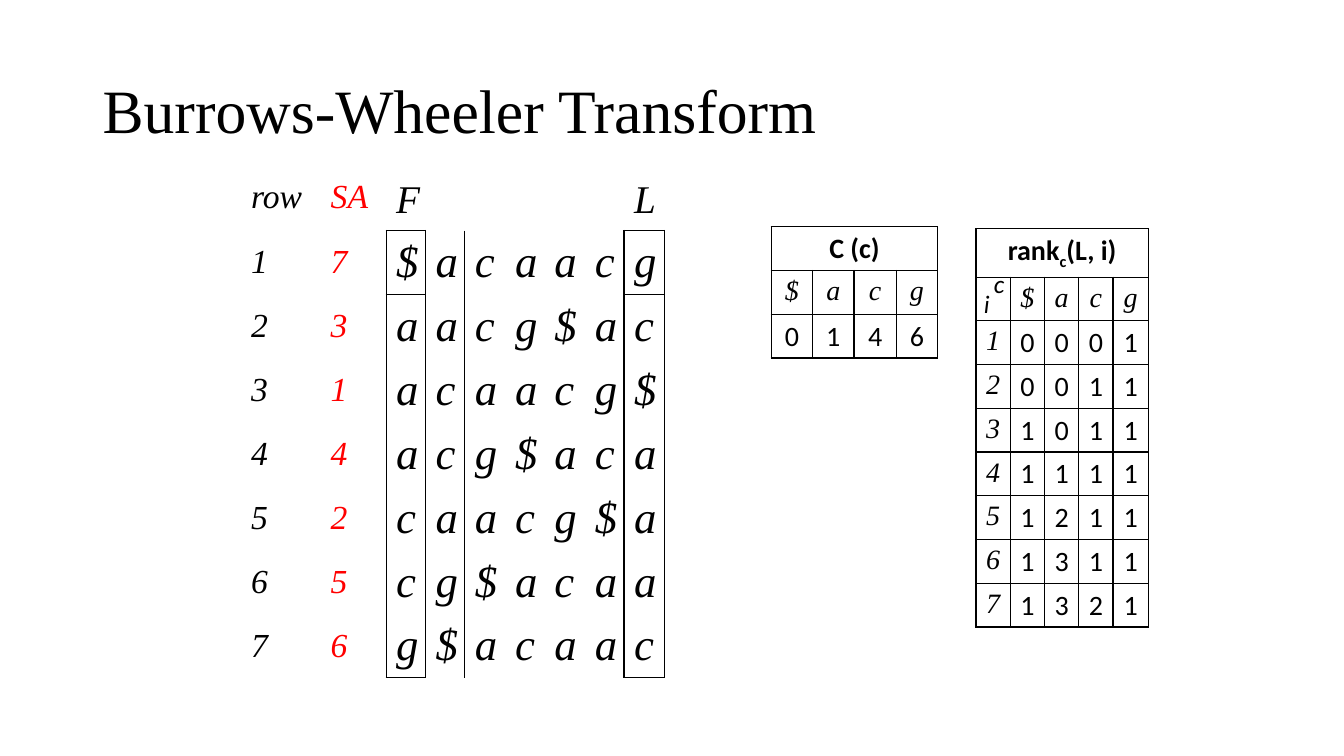
from lxml import etree
from pptx import Presentation
from pptx.dml.color import RGBColor
from pptx.enum.text import MSO_ANCHOR as Anchor, PP_ALIGN as Align
from pptx.oxml.ns import qn
from pptx.util import Inches, Pt

COLORS = {"black": "000000", "red": "FF0000", "white": "FFFFFF"}
SERIF, SANS = "Times New Roman", "Calibri"
NO_STYLE = "{2D5ABB26-0587-4C30-8999-92F81FD0307C}"

TITLE = "Burrows-Wheeler Transform"
ROTATIONS = [  # suffix array value, sorted rotation
    ("7", "$acaacg"),
    ("3", "aacg$ac"),
    ("1", "acaacg$"),
    ("4", "acg$aca"),
    ("2", "caacg$a"),
    ("5", "cg$acaa"),
    ("6", "g$acaac"),
]
ALPHABET = "$acg"
COUNTS = "0146"
RANKS = ["0001", "0011", "1011", "1111", "1211", "1311", "1321"]
AXIS_LABELS = [("i", 9.66, 2.81, 0.26), ("c", 9.76, 2.61, 0.31)]

ROTATION_COLUMNS = [0.79, 0.65, 0.39, 0.39, 0.4, 0.39, 0.4, 0.39, 0.4]
ROTATION_ROWS = [0.3] + [0.63] * len(ROTATIONS)
F_COLUMN, L_COLUMN = 2, 8


def add_run(paragraph, text, size, font=SERIF, color="black", bold=False, italic=False):
    run = paragraph.add_run()
    run.text = text
    run.font.size = Pt(size)
    run.font.name = font
    run.font.bold = bold
    run.font.italic = italic
    run.font.color.rgb = RGBColor.from_string(COLORS[color])
    return run


def add_text_box(slide, left, top, width, height):
    box = slide.shapes.add_textbox(Inches(left), Inches(top), Inches(width), Inches(height))
    return box.text_frame


def add_plain_table(slide, left, top, columns, rows):
    """Add a table without style, with the given column widths and row heights."""
    frame = slide.shapes.add_table(len(rows), len(columns), Inches(left), Inches(top),
                                   Inches(sum(columns)), Inches(sum(rows)))
    table = frame.table
    table.first_row = table.horz_banding = False
    table._tbl.tblPr.find(qn("a:tableStyleId")).text = NO_STYLE
    for column, width in zip(table.columns, columns):
        column.width = Inches(width)
    for row, height in zip(table.rows, rows):
        row.height = Inches(height)
    return table


def set_borders(cell, sides):
    """Draw black 1 pt borders on the sides named by letters out of LRTB."""
    properties = cell._tc.get_or_add_tcPr()
    for side in "LRTB":
        if side in sides:
            line = etree.SubElement(properties, qn(f"a:ln{side}"), w=str(Pt(1)))
            fill = etree.SubElement(line, qn("a:solidFill"))
            etree.SubElement(fill, qn("a:srgbClr"), val=COLORS["black"])


def add_rotation_table(slide):
    table = add_plain_table(slide, 2.39, 1.72, ROTATION_COLUMNS, ROTATION_ROWS)
    header = ["row", "SA", "F", "", "", "", "", "", "L"]
    body = [[str(number), suffix, *rotation]
            for number, (suffix, rotation) in enumerate(ROTATIONS, 1)]
    for r, texts in enumerate([header] + body):
        for c, text in enumerate(texts):
            cell = table.cell(r, c)
            sides = ""
            if c in (F_COLUMN, L_COLUMN):
                sides = "B" if r == 0 else "LR"
                sides += "T" if r == 1 else "B" if r == len(ROTATIONS) else ""
            elif r and c + 1 in (F_COLUMN, L_COLUMN):
                sides = "R"
            elif r and c == F_COLUMN + 1:
                sides = "L"
            set_borders(cell, sides)
            cell.fill.background()
            if r:
                cell.vertical_anchor = Anchor.MIDDLE
            if text:
                size = 24 if c < F_COLUMN else 32 if r else 28
                add_run(cell.text_frame.paragraphs[0], text, size,
                        color="red" if c == 1 else "black", italic=True)


def add_grid_table(slide, left, top, columns, heights, heading, body, fill=None):
    """Add a ruled table; heading holds (text, baseline), body (text, is_symbol)."""
    table = add_plain_table(slide, left, top, columns, heights)
    for cell in table.iter_cells():
        set_borders(cell, "LRTB")
        if fill:
            cell.fill.solid()
            cell.fill.fore_color.rgb = RGBColor.from_string(COLORS[fill])
        else:
            cell.fill.background()
        cell.text_frame.paragraphs[0].alignment = Align.CENTER
    table.cell(0, 0).merge(table.cell(0, len(columns) - 1))
    for text, baseline in heading:
        run = add_run(table.cell(0, 0).text_frame.paragraphs[0], text, 20, SANS, bold=True)
        if baseline:
            run.font._element.set("baseline", str(baseline))
    for r, entries in enumerate(body, 1):
        for c, (text, is_symbol) in enumerate(entries):
            if text:
                add_run(table.cell(r, c).text_frame.paragraphs[0], text, 20,
                        SERIF if is_symbol else SANS, italic=is_symbol)


def main():
    presentation = Presentation()
    presentation.slide_width = Inches(13.33)
    presentation.slide_height = Inches(7.5)
    slide = presentation.slides.add_slide(presentation.slide_layouts[6])

    title = add_text_box(slide, 0.92, 0.4, 11.5, 1.45)
    title.word_wrap = True
    title.vertical_anchor = Anchor.MIDDLE
    title.paragraphs[0].line_spacing = 0.9
    add_run(title.paragraphs[0], TITLE, 44)

    add_rotation_table(slide)

    symbols = [(symbol, True) for symbol in ALPHABET]
    counts = [(count, False) for count in COUNTS]
    add_grid_table(slide, 7.65, 2.25, [0.41, 0.41, 0.42, 0.41], [0.43] * 3,
                   [("C (c)", 0)], [symbols, counts], fill="white")

    ranks = [[(str(number), True)] + [(rank, False) for rank in row]
             for number, row in enumerate(RANKS, 1)]
    add_grid_table(slide, 9.68, 2.27, [0.34] * 4 + [0.35], [0.41] * (len(RANKS) + 2),
                   [("rank", 0), ("c", -25000), ("(L, i)", 0)],
                   [[("", True)] + symbols] + ranks)

    for text, left, top, width in AXIS_LABELS:
        label = add_text_box(slide, left, top, width, 0.4)
        label.word_wrap = False
        add_run(label.paragraphs[0], text, 18, SANS, italic=True)

    presentation.save("out.pptx")


if __name__ == "__main__":
    main()
